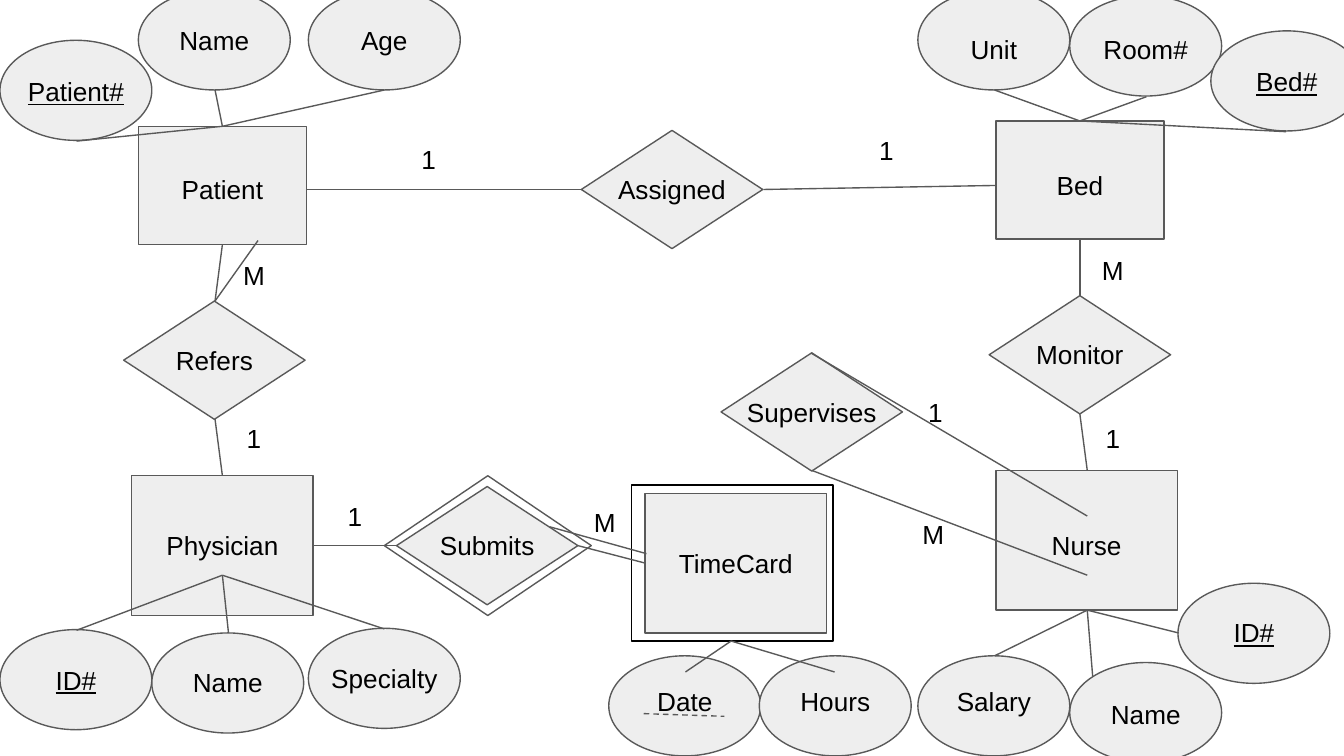
from pptx import Presentation
from pptx.dml.color import RGBColor
from pptx.enum.dml import MSO_LINE
from pptx.enum.shapes import MSO_CONNECTOR, MSO_SHAPE
from pptx.enum.text import MSO_AUTO_SIZE, PP_ALIGN
from pptx.oxml.ns import qn
from pptx.util import Inches, Pt
from lxml.etree import SubElement

deck = Presentation()
deck.slide_width = Inches(10)
deck.slide_height = deck.slide_width * 9 // 16
slide = deck.slides.add_slide(deck.slide_layouts[6])
shapes = slide.shapes

# Grid: 100 columns across the slide, with square cells
CELL = deck.slide_width / 100
INK, FILL, TEXT = "595959", "EEEEEE", "000000"


def cells(*spans):
    return [round(span * CELL) for span in spans]


def paint(color, tint):
    color.rgb = RGBColor.from_string(tint)


# Kinds of node: preset, columns wide, rows high
KINDS = {
    "hub": (MSO_SHAPE.RECTANGLE, 12.5, 8.8),
    "box": (MSO_SHAPE.RECTANGLE, 13.5, 10.4),
    "gem": (MSO_SHAPE.FLOWCHART_DECISION, 13.5, 8.8),
    "oval": (MSO_SHAPE.OVAL, 11.3, 7.45),
    "frame": (MSO_SHAPE.RECTANGLE, 15, 11.6),
    "ring": (MSO_SHAPE.FLOWCHART_DECISION, 15.4, 10.4),
}

# Nodes: kind, column, row, name, label row, label columns
nodes = [
    # Entities
    ("hub", 10.3, 9.4, "Patient", 11.9, 12.5),
    ("hub", 74.1, 9, "Bed", 11.6, 12.5),
    ("box", 9.8, 35.4, "Physician", 38.4, 12.5),
    ("box", 74.1, 35, "Nurse", 38.4, 12.5),
    ("box", 48, 36.7, "TimeCard", 39.7, 12.9),
    ("frame", 47, 36.1, "", 0, 0),
    # Relations
    ("gem", 43.25, 9.7, "Assigned", 11.9, 11.3),
    ("gem", 9.2, 22.4, "Refers", 24.6, 12.5),
    ("gem", 73.6, 22, "Monitor", 24.2, 12.5),
    ("gem", 53.65, 26.25, "Supervises", 28.5, 12.5),
    ("gem", 29.5, 36.2, "Submits", 38.4, 12.5),
    ("ring", 28.6, 35.4, "", 0, 0),
    # Attributes
    ("oval", 0, 3, "Patient#", 4.6, 11.3),
    ("oval", 10.3, -0.75, "Name", 0.8, 11.3),
    ("oval", 22.95, -0.75, "Age", 0.8, 11.3),
    ("oval", 68.3, -0.75, "Unit", 1.5, 11.3),
    ("oval", 79.6, -0.3, "Room#", 1.5, 11.3),
    ("oval", 90.1, 2.3, "Bed#", 3.9, 11.3),
    ("oval", 0, 46.85, "ID#", 48.4, 12.5),
    ("oval", 11.3, 47.1, "Name", 48.6, 12.5),
    ("oval", 22.95, 46.75, "Specialty", 48.3, 12.5),
    ("oval", 45.3, 48.8, "Date", 50, 12.5),
    ("oval", 56.5, 48.8, "Hours", 50, 12.5),
    ("oval", 68.3, 48.8, "Salary", 50, 12.5),
    ("oval", 79.6, 49.3, "Name", 51, 12.5),
    ("oval", 87.65, 43.4, "ID#", 44.9, 12.5),
]
keys = {"Patient#", "Bed#", "ID#"}

# Fans of lines: one start, then its ends
fans = [
    ((16.55, 9.4), [(5.7, 10.5), (16, 6.7), (28.6, 6.7)]),
    ((80.35, 9), [(74, 6.7), (85.3, 7.2), (95.7, 9.8)]),
    ((16.55, 42.8), [(5.7, 46.9), (17, 47.1), (28.6, 46.8)]),
    ((80.9, 45.4), [(74, 48.8), (81.3, 50.3), (87.7, 47.1)]),
    ((54.4, 47.7), [(51, 50), (62.1, 50)]),
    ((16, 22.4), [(16.55, 18.2), (19.2, 17.9)]),
    ((16, 31.2), [(16.55, 35.4)]),
    ((22.8, 14.1), [(43.2, 14.1)]),
    ((56.8, 14.1), [(74.1, 13.8)]),
    ((80.35, 17.8), [(80.35, 22)]),
    ((80.35, 30.8), [(80.9, 35)]),
    ((60.4, 26.3), [(80.9, 38.4)]),
    ((60.4, 35), [(80.9, 42.8)]),
    ((23.3, 40.6), [(29.5, 40.6)]),
    ((43, 40.6), [(48, 41.9)]),
    ((40.9, 39.2), [(48.1, 41.2)]),
]
dash = ((47.9, 53.1), (53.9, 53.3))

# Counts beside the lines: text, column, row, columns wide
counts = [
    ("1", 29.5, 9.7, 4.8), ("1", 64.4, 9, 3.1),
    ("M", 15.7, 18.3, 6.4), ("M", 80.4, 17.9, 4.8),
    ("1", 16.5, 30.4, 4.8), ("1", 80.4, 30.4, 4.8),
    ("1", 67.2, 28.5, 4.8), ("M", 67, 37.6, 4.9),
    ("1", 24, 36.2, 4.8), ("M", 42.6, 36.7, 4.8),
]

# Draw nodes and collect their labels
labels = []
for kind, left, top, name, row, wide in nodes:
    form, width, height = KINDS[kind]
    node = shapes.add_shape(form, *cells(left, top, width, height))
    node.shadow.inherit = False
    if name:
        node.fill.solid()
        paint(node.fill.fore_color, FILL)
        labels.append((name, left + (width - wide) / 2, row, wide))
    else:
        node.fill.background()
    paint(node.line.color, TEXT if kind == "frame" else INK)
    node.line.width = Pt(0.75)

# Draw lines
links = [(start, end) for start, ends in fans for end in ends]
for start, end in links + [dash]:
    link = shapes.add_connector(MSO_CONNECTOR.STRAIGHT, *cells(*start, *end))
    paint(link.line.color, INK)
    link.line.width = Pt(0.75)
    if (start, end) == dash:
        link.line.dash_style = MSO_LINE.DASH
    SubElement(link._element.spPr, qn("a:effectLst"))

# Write labels and counts
for name, left, top, wide in labels + counts:
    frame = shapes.add_textbox(*cells(left, top, wide, 4.4)).text_frame
    frame.word_wrap = True
    frame.auto_size = MSO_AUTO_SIZE.SHAPE_TO_FIT_TEXT
    frame.margin_left = frame.margin_right = Inches(0.1)
    frame.margin_top = frame.margin_bottom = Inches(0.1)
    line = frame.paragraphs[0]
    line.text = name
    line.alignment = PP_ALIGN.CENTER
    line.font.name, line.font.size = "Arial", Pt(14)
    if name in keys:
        line.font.underline = True
    paint(line.font.color, TEXT)

deck.save("out.pptx")
